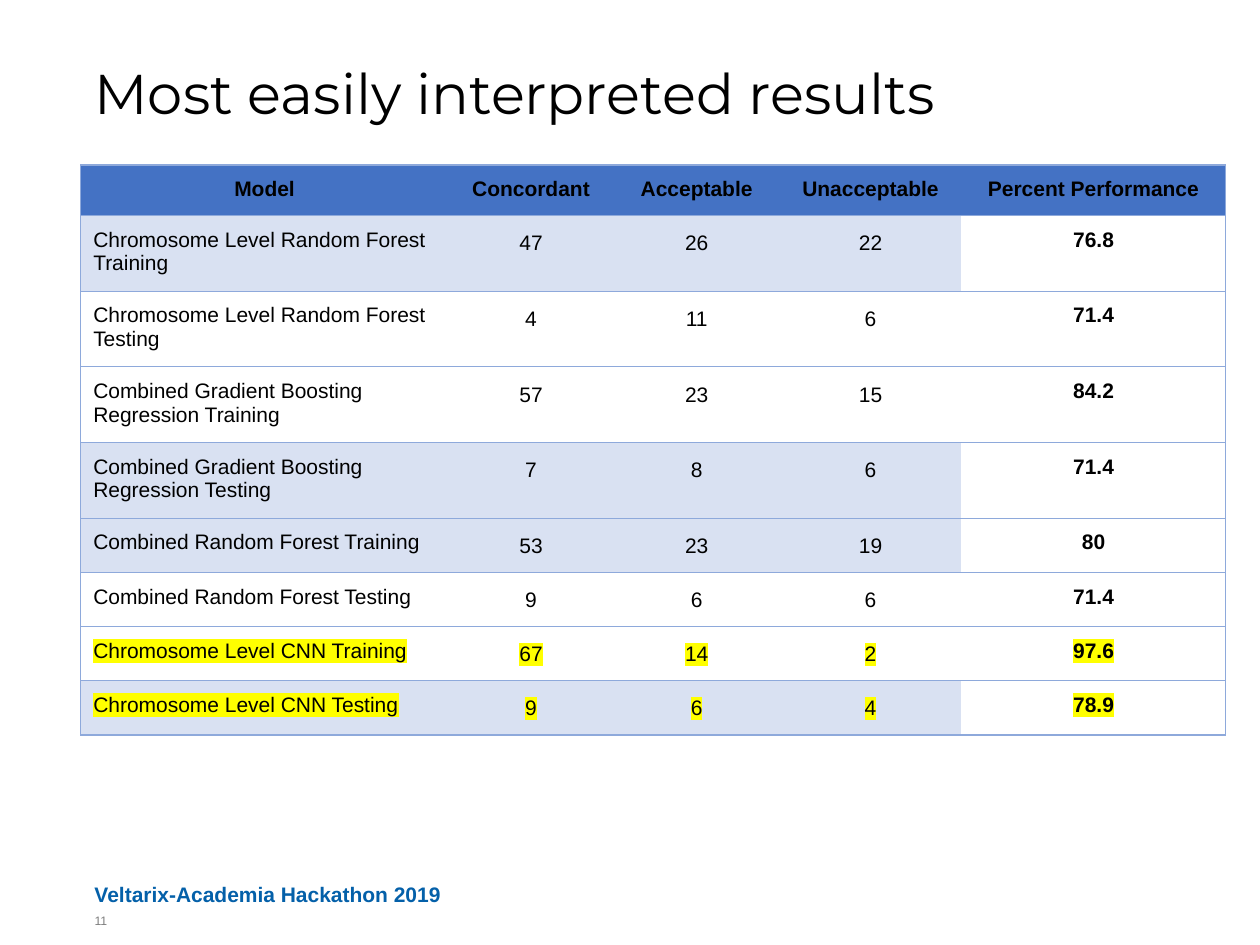
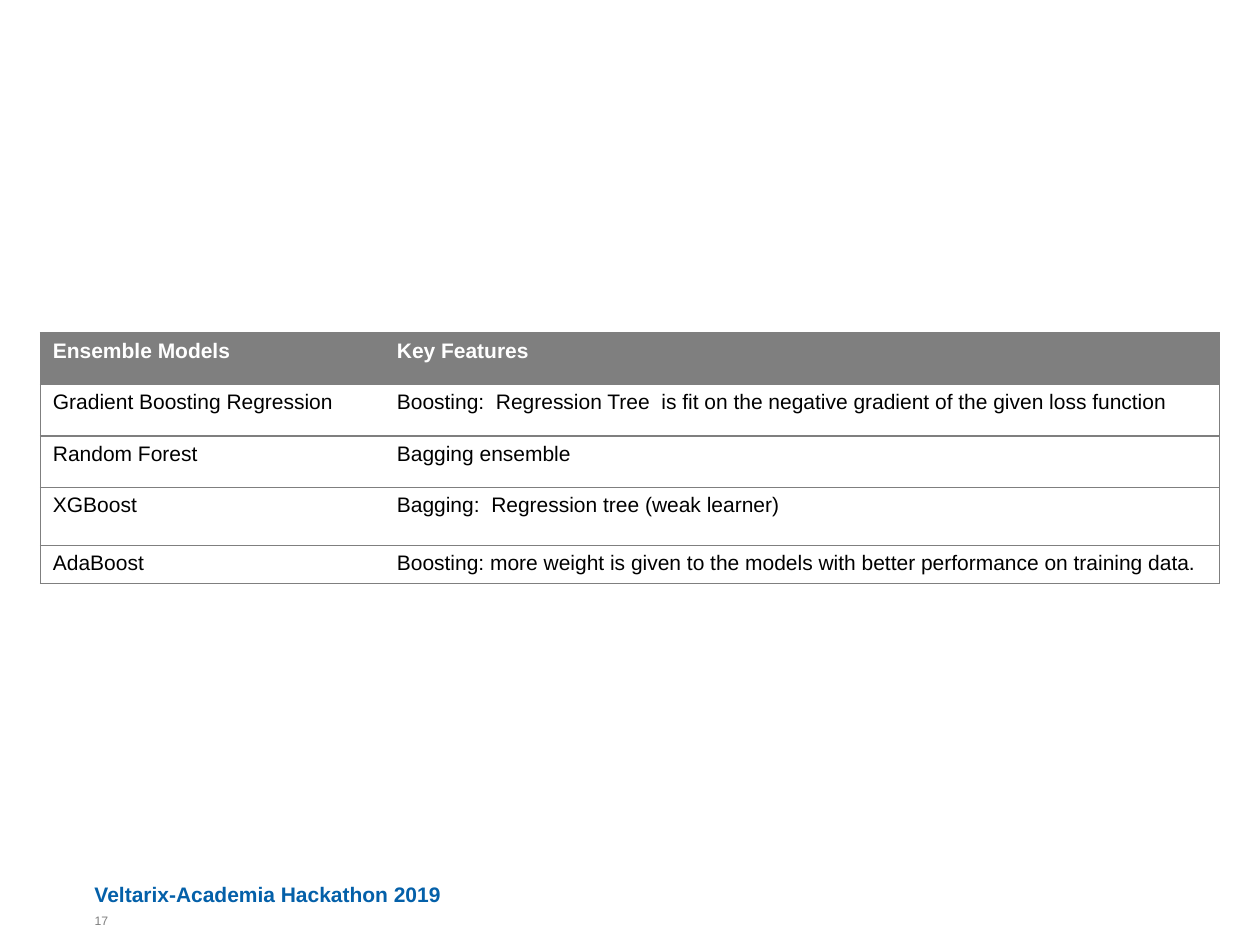
from dataclasses import dataclass

from lxml import etree
from pptx import Presentation
from pptx.dml.color import RGBColor
from pptx.enum.text import MSO_ANCHOR, PP_ALIGN
from pptx.oxml.ns import qn
from pptx.util import Emu, Pt

LEFT, CENTER = PP_ALIGN.LEFT, PP_ALIGN.CENTER
TOP, BOTTOM = MSO_ANCHOR.TOP, MSO_ANCHOR.BOTTOM

EMU_PER_PX = 9144  # 100 px to the inch
BLANK_LAYOUT = 6
PLAIN_TABLE_STYLE = "{2D5ABB26-0587-4C30-8999-92F81FD0307C}"


@dataclass(frozen=True)
class Theme:
    title_font: str = "Montserrat"
    body_font: str = "Arial"
    title_size: int = 32
    body_size: int = 12
    number_size: int = 7
    border_width: float = 0.75
    black: str = "000000"
    white: str = "FFFFFF"
    gray: str = "7F7F7F"
    footer_blue: str = "0460A9"
    header_blue: str = "4472C4"
    band_blue: str = "D9E1F2"
    border_blue: str = "8EA9DB"
    highlight: str = "FFFF00"


THEME = Theme()
FOOTER = "Veltarix-Academia Hackathon 2019"

RESULT_COLUMNS = [292, 131, 132, 144, 210]
RESULT_ROW_HEIGHTS = [38] + [56] * 4 + [41] * 4
RESULT_HEADERS = ["Model", "Concordant", "Acceptable", "Unacceptable", "Percent Performance"]
RESULTS = [
    ["Chromosome Level Random Forest Training", "47", "26", "22", "76.8"],
    ["Chromosome Level Random Forest Testing", "4", "11", "6", "71.4"],
    ["Combined Gradient Boosting Regression Training", "57", "23", "15", "84.2"],
    ["Combined Gradient Boosting Regression Testing", "7", "8", "6", "71.4"],
    ["Combined Random Forest Training", "53", "23", "19", "80"],
    ["Combined Random Forest Testing", "9", "6", "6", "71.4"],
    ["Chromosome Level CNN Training", "67", "14", "2", "97.6"],
    ["Chromosome Level CNN Testing", "9", "6", "4", "78.9"],
]
SHADED_RESULTS = {1, 4, 5, 8}
HIGHLIGHTED_RESULTS = {7, 8}

MODEL_COLUMNS = [273, 663]
MODEL_ROW_HEIGHTS = [41, 41, 41, 46, 26]
MODEL_ROWS = [
    ["Ensemble Models", "Key Features"],
    ["Gradient Boosting Regression",
     "Boosting:  Regression Tree  is fit on the negative gradient of the given loss function"],
    ["Random Forest", "Bagging ensemble"],
    ["XGBoost", "Bagging:  Regression tree (weak learner)"],
    ["AdaBoost",
     "Boosting: more weight is given to the models with better performance on training data."],
]
MODEL_RULES = {0, 1, 3, 5}


def px(length):
    return Emu(length * EMU_PER_PX)


def style_paragraph(paragraph, size, color, font=THEME.body_font, bold=False,
                    align=LEFT, line_spacing=1.0):
    paragraph.alignment = align
    paragraph.line_spacing = line_spacing
    paragraph.font.name = font
    paragraph.font.size = Pt(size)
    paragraph.font.bold = bold
    paragraph.font.color.rgb = RGBColor.from_string(color)


def add_text(slide, text, left, top, width, height, size, color, anchor=TOP, **style):
    frame = slide.shapes.add_textbox(px(left), px(top), px(width), px(height)).text_frame
    frame.word_wrap = True
    frame.vertical_anchor = anchor
    frame.margin_left = frame.margin_right = frame.margin_top = frame.margin_bottom = 0
    paragraph = frame.paragraphs[0]
    paragraph.text = text
    style_paragraph(paragraph, size, color, **style)


def add_slide(presentation, number):
    """Add a blank slide with the shared footer and its slide number."""
    slide = presentation.slides.add_slide(presentation.slide_layouts[BLANK_LAYOUT])
    add_text(slide, FOOTER, 75, 695, 650, 25, THEME.body_size, THEME.footer_blue,
             anchor=BOTTOM, bold=True)
    add_text(slide, str(number), 75, 725, 25, 25, THEME.number_size, THEME.gray)
    return slide


def add_plain_table(slide, left, top, columns, row_heights):
    """Add a table without style and return it."""
    frame = slide.shapes.add_table(len(row_heights), len(columns), px(left), px(top),
                                   px(sum(columns)), px(sum(row_heights)))
    table = frame.table
    table.first_row = table.horz_banding = False
    for style_id in frame.element.iter(qn("a:tableStyleId")):
        style_id.text = PLAIN_TABLE_STYLE
    for column, width in zip(table.columns, columns):
        column.width = px(width)
    for row, height in zip(table.rows, row_heights):
        row.height = px(height)
    return table


def add_borders(table, color, ruled_edges):
    """Frame the table and rule the given row edges, counted from 0 at its top."""
    last_column = len(table.columns) - 1
    for row_index, row in enumerate(table.rows):
        for column_index, cell in enumerate(row.cells):
            sides = {
                "a:lnL": column_index == 0,
                "a:lnR": column_index == last_column,
                "a:lnT": row_index in ruled_edges,
                "a:lnB": row_index + 1 in ruled_edges,
            }
            properties = cell._tc.get_or_add_tcPr()
            for tag in (tag for tag, drawn in sides.items() if drawn):
                line = etree.SubElement(properties, qn(tag), w=str(Pt(THEME.border_width)))
                fill = etree.SubElement(line, qn("a:solidFill"))
                etree.SubElement(fill, qn("a:srgbClr"), val=color)


def fill_cell(cell, text, fill, margin_y, color=THEME.black, **style):
    cell.margin_left = cell.margin_right = px(10)
    cell.margin_top = cell.margin_bottom = px(margin_y)
    if fill:
        cell.fill.solid()
        cell.fill.fore_color.rgb = RGBColor.from_string(fill)
    else:
        cell.fill.background()
    paragraph = cell.text_frame.paragraphs[0]
    paragraph.text = text
    style_paragraph(paragraph, THEME.body_size, color, **style)


def highlight_text(cell):
    for run in cell.text_frame.paragraphs[0].runs:
        highlight = etree.SubElement(run._r.get_or_add_rPr(), qn("a:highlight"))
        etree.SubElement(highlight, qn("a:srgbClr"), val=THEME.highlight)


def add_results_table(slide):
    table = add_plain_table(slide, 64, 131, RESULT_COLUMNS, RESULT_ROW_HEIGHTS)
    add_borders(table, THEME.border_blue, range(len(RESULT_ROW_HEIGHTS) + 1))
    for column, header in enumerate(RESULT_HEADERS):
        fill_cell(table.cell(0, column), header, THEME.header_blue, 10,
                  bold=True, align=CENTER)
    performance_column = len(RESULT_HEADERS) - 1
    for row, values in enumerate(RESULTS, start=1):
        band = THEME.band_blue if row in SHADED_RESULTS else None
        for column, value in enumerate(values):
            cell = table.cell(row, column)
            if column == 0:
                fill_cell(cell, value, band, 10)
            elif column == performance_column:
                fill_cell(cell, value, THEME.white, 10, bold=True, align=CENTER)
            else:
                fill_cell(cell, value, band, 10, align=CENTER, line_spacing=1.15)
            if row in HIGHLIGHTED_RESULTS:
                highlight_text(cell)


def add_models_table(slide):
    table = add_plain_table(slide, 32, 264, MODEL_COLUMNS, MODEL_ROW_HEIGHTS)
    add_borders(table, THEME.gray, MODEL_RULES)
    for row, values in enumerate(MODEL_ROWS):
        is_header = row == 0
        for column, value in enumerate(values):
            fill_cell(table.cell(row, column), value, THEME.gray if is_header else None, 5,
                      color=THEME.white if is_header else THEME.black, bold=is_header)


def main():
    presentation = Presentation()
    presentation.slide_width, presentation.slide_height = px(1000), px(750)

    results_slide = add_slide(presentation, 11)
    add_text(results_slide, "Most easily interpreted results", 75, 50, 850, 105,
             THEME.title_size, THEME.black, font=THEME.title_font, line_spacing=0.95)
    add_results_table(results_slide)

    models_slide = add_slide(presentation, 17)
    add_models_table(models_slide)

    presentation.save("out.pptx")


if __name__ == "__main__":
    main()
